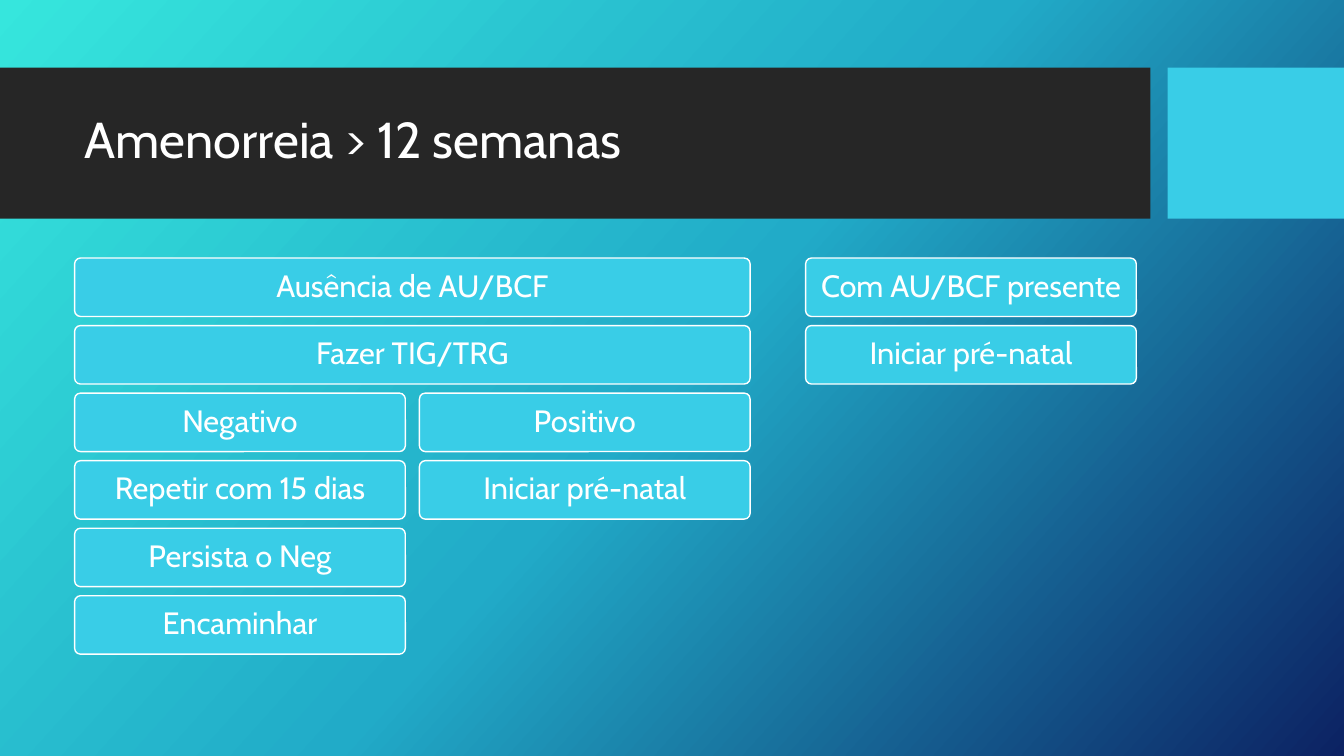
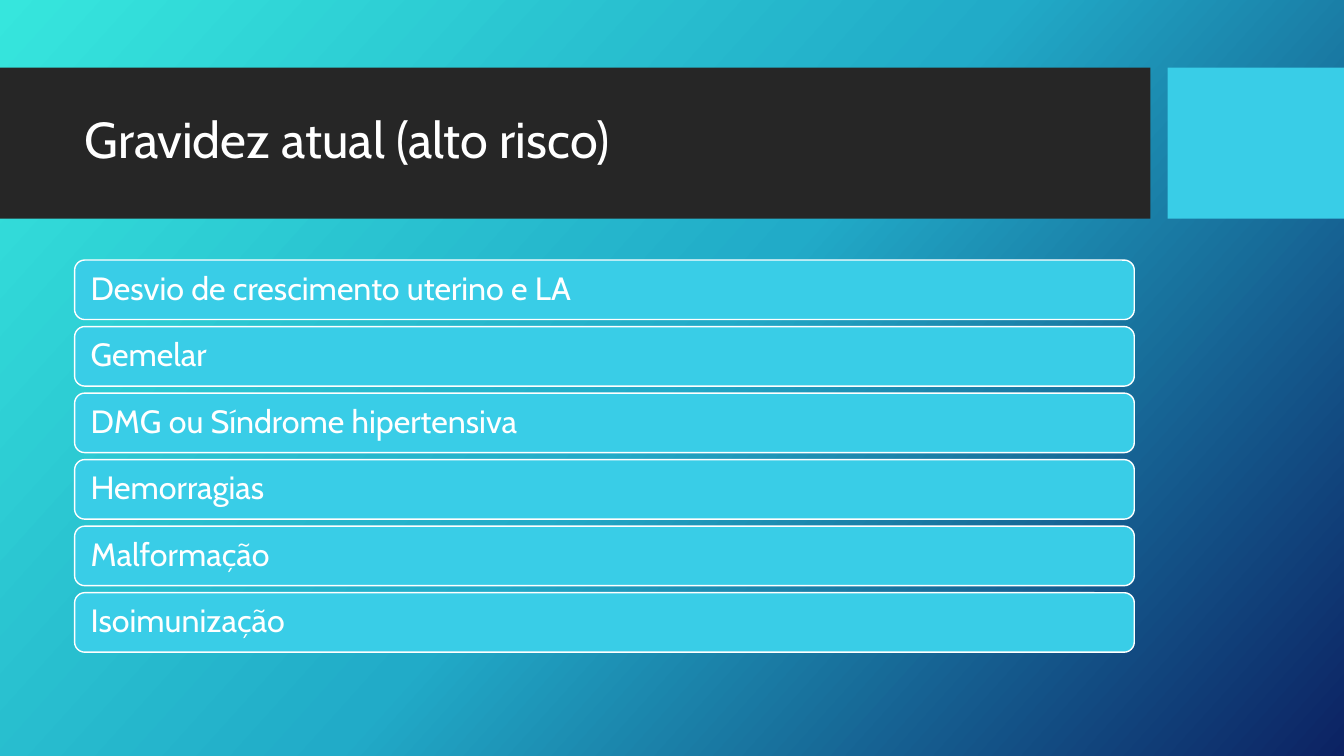
from copy import deepcopy
from dataclasses import dataclass

from pptx import Presentation
from pptx.dml.color import RGBColor
from pptx.enum.shapes import MSO_SHAPE
from pptx.enum.text import MSO_ANCHOR, MSO_AUTO_SIZE, PP_ALIGN
from pptx.oxml.ns import qn
from pptx.presentation import Presentation as Deck
from pptx.shapes.autoshape import Shape
from pptx.slide import Slide, SlideLayout, SlideMaster
from pptx.util import Inches, Pt

COLORS = {
    "aqua": "36E6DD",
    "teal": "21ABC8",
    "navy": "0C2263",
    "dark": "262626",
    "sky": "39CDE7",
    "white": "FFFFFF",
}
FONT = "Cabin"
LEFT, WIDE = 0.74, 10.51
CELL, GAP, BREAK = 3.28, 0.14, 0.55
PAIR = 2 * CELL + GAP
SECOND = LEFT + CELL + GAP
THIRD = LEFT + PAIR + BREAK


@dataclass
class Box:
    left: float
    top: float
    width: float
    height: float


@dataclass
class Stack:
    left: float
    width: float
    row: int
    labels: list[str]


@dataclass
class Style:
    top: float
    step: float
    height: float
    size: float
    inset: float
    round: float
    align: PP_ALIGN


@dataclass
class Page:
    title: str
    style: Style
    stacks: list[Stack]


FLOW = Style(2.56, 0.67, 0.58, 22, 0.11, 0.1, PP_ALIGN.CENTER)
LIST = Style(2.58, 0.66, 0.59, 23, 0.13, 0.17, PP_ALIGN.LEFT)
BANDS = [
    (Box(0, 0.67, 11.41, 1.5), "dark"),
    (Box(11.58, 0.67, 1.75, 1.5), "sky"),
]
PAGES = [
    Page("Amenorreia > 12 semanas", FLOW, [
        Stack(LEFT, PAIR, 0, ["Ausência de AU/BCF", "Fazer TIG/TRG"]),
        Stack(LEFT, CELL, 2, ["Negativo", "Repetir com 15 dias",
                              "Persista o Neg", "Encaminhar"]),
        Stack(SECOND, CELL, 2, ["Positivo", "Iniciar pré-natal"]),
        Stack(THIRD, CELL, 0, ["Com AU/BCF presente", "Iniciar pré-natal"]),
    ]),
    Page("Gravidez atual (alto risco)", LIST, [
        Stack(LEFT, WIDE, 0, [
            "Desvio de crescimento uterino e LA", "Gemelar",
            "DMG ou Síndrome hipertensiva", "Hemorragias",
            "Malformação", "Isoimunização",
        ]),
    ]),
]


def color(name: str) -> RGBColor:
    return RGBColor.from_string(COLORS[name])


def write(shape: Shape, text: str, *, size: float,
          align: PP_ALIGN = PP_ALIGN.LEFT, inset: float = 0.1) -> None:
    frame = shape.text_frame
    frame.word_wrap = True
    frame.auto_size = MSO_AUTO_SIZE.NONE
    frame.vertical_anchor = MSO_ANCHOR.MIDDLE
    frame.margin_left = frame.margin_right = Inches(inset)
    frame.margin_top = frame.margin_bottom = Inches(0.05)
    line = frame.paragraphs[0]
    line.alignment = align
    line.line_spacing = 0.9
    run = line.add_run()
    run.text = text
    run.font.name = FONT
    run.font.size = Pt(size)
    run.font.color.rgb = color("white")


def place(shape: Shape, box: Box) -> None:
    shape.left, shape.top = Inches(box.left), Inches(box.top)
    shape.width, shape.height = Inches(box.width), Inches(box.height)


def panel(slide: Slide, box: Box, fill: str, kind: MSO_SHAPE) -> Shape:
    shape = slide.shapes.add_shape(
        kind, Inches(box.left), Inches(box.top),
        Inches(box.width), Inches(box.height))
    shape.shadow.inherit = False
    shape.fill.solid()
    shape.fill.fore_color.rgb = color(fill)
    shape.line.fill.background()
    return shape


def paint(master: SlideMaster) -> None:
    fill = master.background.fill
    fill.gradient()
    fill.gradient_angle = 318
    stops = master.element.find(".//" + qn("p:bg")).find(".//" + qn("a:gsLst"))
    stops.append(deepcopy(stops[-1]))
    for stop, name, place_at in zip(
            fill.gradient_stops, ("aqua", "teal", "navy"), (0, 0.5, 1)):
        stop.color.rgb = color(name)
        stop.position = place_at


def share(layout: SlideLayout, slide: Slide) -> None:
    place(layout.placeholders[0], Box(LEFT, 0.82, WIDE, 1.18))
    for index, (box, fill) in enumerate(BANDS):
        band = panel(slide, box, fill, MSO_SHAPE.RECTANGLE)
        band.element.nvSpPr.cNvPr.id = 100 + index
        layout.shapes.element.append(band.element)


def draw(slide: Slide, page: Page) -> None:
    write(slide.shapes.title, page.title, size=36)
    style = page.style
    for stack in page.stacks:
        for row, label in enumerate(stack.labels, stack.row):
            box = Box(stack.left, style.top + row * style.step,
                      stack.width, style.height)
            card = panel(slide, box, "sky", MSO_SHAPE.ROUNDED_RECTANGLE)
            card.adjustments[0] = style.round
            card.line.color.rgb = color("white")
            card.line.width = Pt(1)
            write(card, label, size=style.size, align=style.align,
                  inset=style.inset)


def main() -> None:
    deck: Deck = Presentation()
    deck.slide_width, deck.slide_height = Inches(13.33), Inches(7.5)
    layout = deck.slide_layouts[5]
    paint(deck.slide_master)
    slides = [deck.slides.add_slide(layout) for _ in PAGES]
    share(layout, slides[0])
    for slide, page in zip(slides, PAGES):
        draw(slide, page)
    deck.save("out.pptx")


if __name__ == "__main__":
    main()
